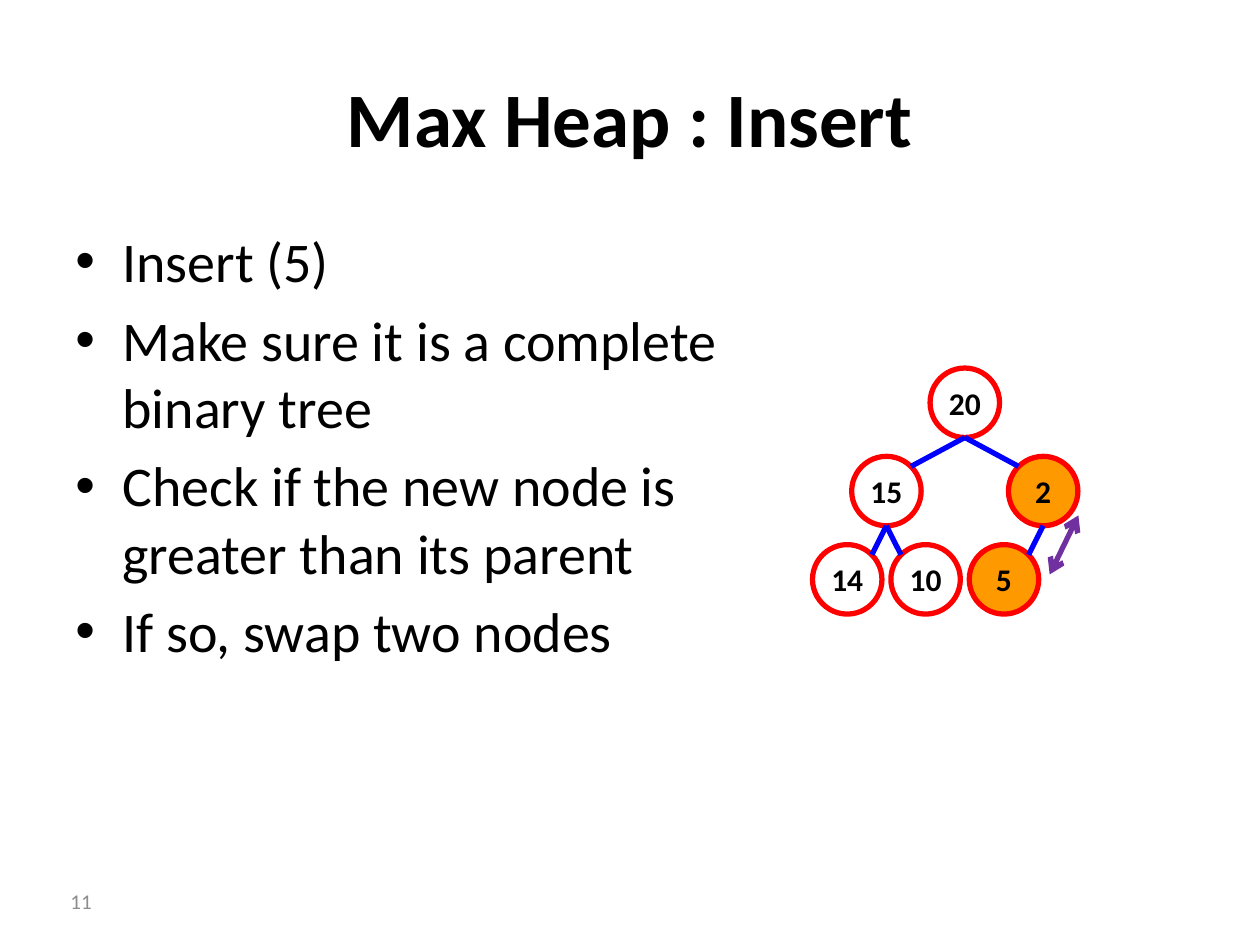
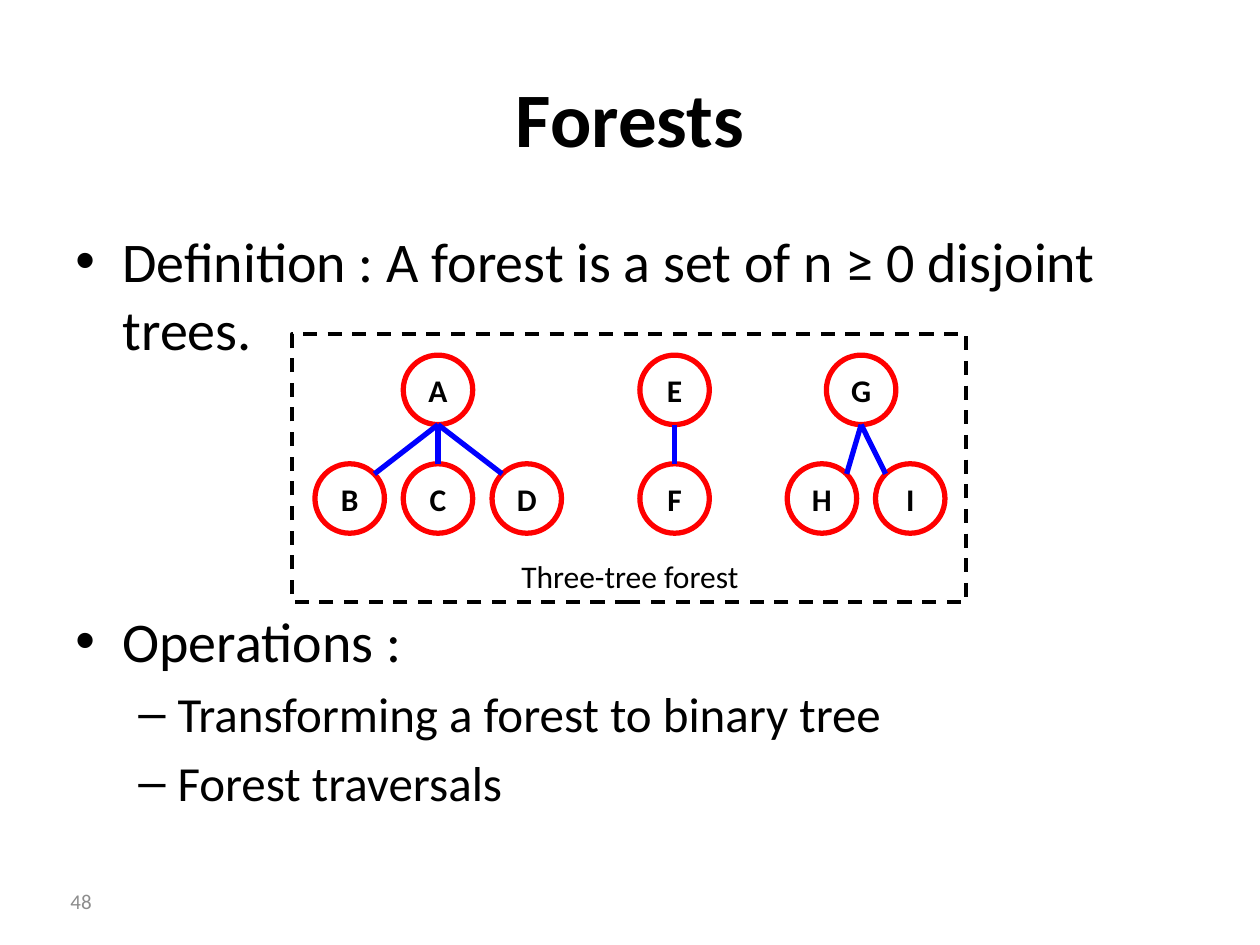
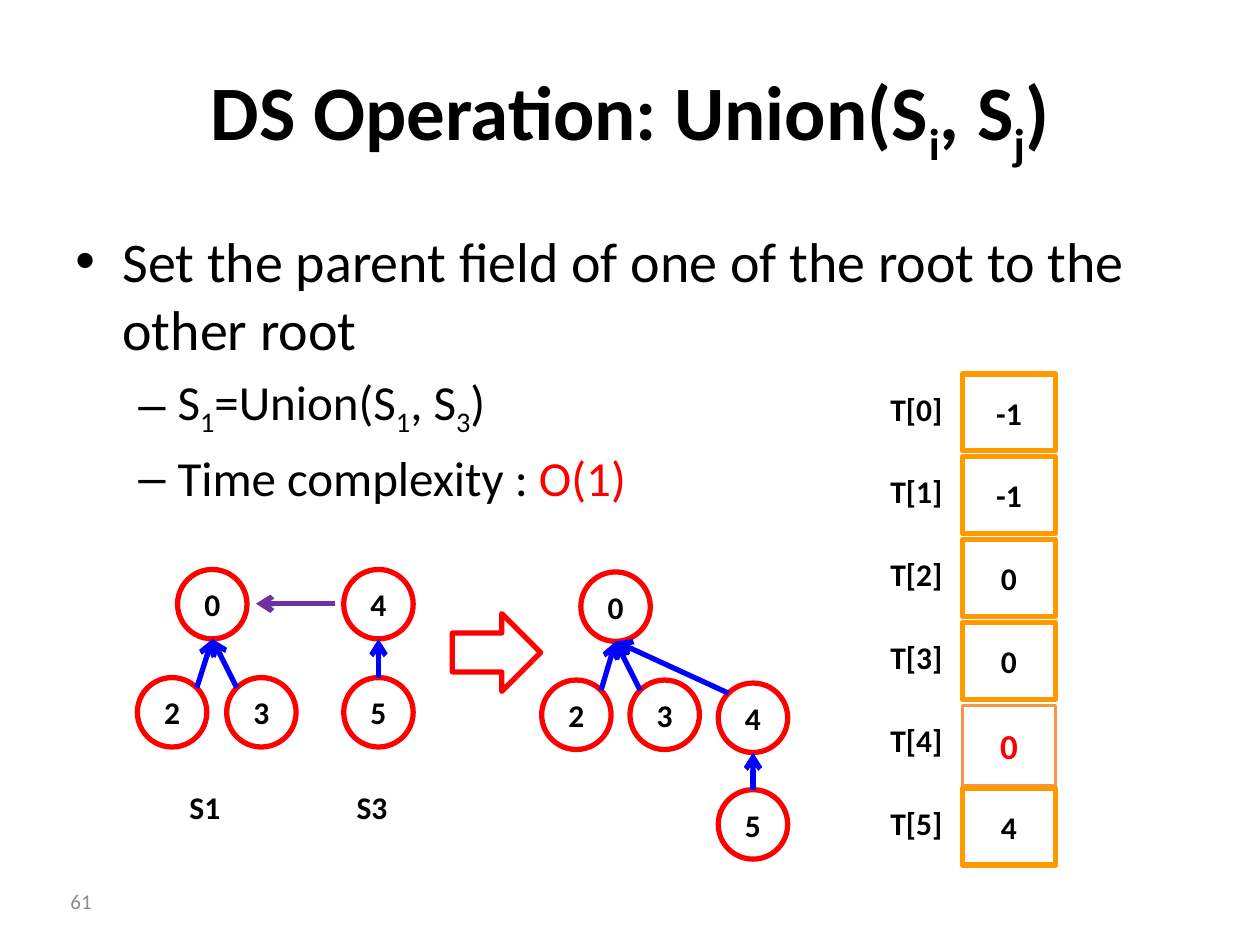
"""Builds three lecture slides on heaps, forests and disjoint sets."""
from dataclasses import dataclass

from lxml.etree import SubElement
from pptx import Presentation
from pptx.dml.color import RGBColor
from pptx.enum.dml import MSO_LINE
from pptx.enum.shapes import MSO_CONNECTOR, MSO_SHAPE
from pptx.enum.text import MSO_ANCHOR, PP_ALIGN
from pptx.oxml.ns import qn
from pptx.util import Cm, Pt


@dataclass(frozen=True)
class Theme:
    font: str = "Calibri"
    ink: str = "000000"
    paper: str = "FFFFFF"
    grey: str = "8C8C8C"
    red: str = "FF0000"
    blue: str = "0000FF"
    orange: str = "FF9900"
    amber: str = "F79646"
    purple: str = "7030A0"
    title: int = 44
    body: tuple = (32, 28)
    label: int = 18
    accent: int = 20
    foot: int = 12
    thick: int = 3
    thin: int = 2
    node: float = 1.4


class Deck:
    def __init__(self, theme):
        self.theme = theme
        self.file = Presentation()
        self.file.slide_width, self.file.slide_height = Cm(25.4), Cm(19.05)

    def page(self, title, number):
        self.slide = self.file.slides.add_slide(self.file.slide_layouts[6])
        look = self.theme
        self.text((1.27, 0.76, 22.86, 3.18), title, look.title, bold=True)
        self.text((0, 17.67, 2.1, 1.01), number, look.foot, look.grey,
                  align=PP_ALIGN.RIGHT)

    def words(self, para, runs, size, color=None, bold=False):
        font = para.font
        font.name, font.size, font.bold = self.theme.font, Pt(size), bold
        font.color.rgb = RGBColor.from_string(color or self.theme.ink)
        for part in [runs] if isinstance(runs, str) else runs:
            text, mark = (part, None) if isinstance(part, str) else part
            run = para.add_run()
            run.text = text
            if mark == "sub":
                run._r.get_or_add_rPr().set("baseline", "-25000")
            elif mark:
                run.font.color.rgb = RGBColor.from_string(mark)

    def frame(self, box):
        frame = self.slide.shapes.add_textbox(*map(Cm, box)).text_frame
        frame.word_wrap = True
        return frame

    def text(self, box, runs, size, color=None, bold=False,
             align=PP_ALIGN.CENTER):
        frame = self.frame(box)
        frame.vertical_anchor = MSO_ANCHOR.MIDDLE
        frame.paragraphs[0].alignment = align
        self.words(frame.paragraphs[0], runs, size, color, bold)

    def body(self, items, width=22.86):
        frame = self.frame((1.27, 4.45, width, 12.57))
        for index, (level, runs, *gap) in enumerate(items):
            para = frame.add_paragraph() if index else frame.paragraphs[0]
            size = self.theme.body[level]
            para.level = level
            para.space_before = Pt(gap[0] if gap else size * 0.2)
            self.words(para, runs, size)
            props = para._p.get_or_add_pPr()
            left, hang = ((0.95, 0.95), (2.06, 0.79))[level]
            props.set("marL", str(Cm(left)))
            props.set("indent", str(-Cm(hang)))
            base = props.find(qn("a:defRPr"))
            for tag, key, value in (("a:buFont", "typeface", "Arial"),
                                    ("a:buChar", "char", "•–"[level])):
                base.addprevious(props.makeelement(qn(tag), {key: value}))

    def shape(self, kind, box, line, width=None, fill=None, label="",
              size=None, color=None):
        look = self.theme
        item = self.slide.shapes.add_shape(kind, *map(Cm, box))
        item.shadow.inherit = False
        item.line.color.rgb = RGBColor.from_string(line)
        item.line.width = Pt(width or look.thick)
        if fill:
            item.fill.solid()
            item.fill.fore_color.rgb = RGBColor.from_string(fill)
        else:
            item.fill.background()
        if label:
            frame = item.text_frame
            frame.word_wrap = False
            frame.margin_left = frame.margin_right = 0
            frame.margin_top = frame.margin_bottom = 0
            frame.vertical_anchor = MSO_ANCHOR.MIDDLE
            frame.paragraphs[0].alignment = PP_ALIGN.CENTER
            self.words(frame.paragraphs[0], label, size or look.label,
                       color, True)
        return item

    def line(self, start, end, color, ends=()):
        item = self.slide.shapes.add_connector(
            MSO_CONNECTOR.STRAIGHT, *map(Cm, (*start, *end)))
        item.line.color.rgb = RGBColor.from_string(color)
        item.line.width = Pt(self.theme.thick)
        for tip in ends:
            SubElement(item.line._get_or_add_ln(), qn(f"a:{tip}"), type="arrow")
        SubElement(item._element.spPr, qn("a:effectLst"))

    def tree(self, nodes, links, ends=(), hot=()):
        look = self.theme
        half = look.node / 2
        for name, (x, y) in nodes.items():
            self.shape(MSO_SHAPE.OVAL, (x - half, y - half, look.node, look.node),
                       look.red, label=name,
                       fill=look.orange if name in hot else None)
        for child, parent in links:
            (x, y), (px, py) = nodes[child], nodes[parent]
            side = (px > x) - (px < x)
            reach = half * 0.71
            start = (x + side * reach, y - (reach if side else half))
            self.line(start, (px, py + half), look.blue, ends)


def heap(deck):
    deck.page("Max Heap : Insert", "11")
    deck.body([(0, "Insert (5)"),
               (0, "Make sure it is a complete binary tree"),
               (0, "Check if the new node is greater than its parent"),
               (0, "If so, swap two nodes")], 13.64)
    grid = {"20": (3, 0), "15": (1, 1), "2": (5, 1),
            "14": (0, 2), "10": (2, 2), "5": (4, 2)}
    nodes = {name: (17.08 + 0.79 * col, 8.12 + 1.78 * row)
             for name, (col, row) in grid.items()}
    deck.tree(nodes, [("15", "20"), ("2", "20"), ("14", "15"),
                      ("10", "15"), ("5", "2")], hot=("2", "5"))
    deck.line((21.16, 11.58), (21.74, 10.39), deck.theme.purple,
              ("headEnd", "tailEnd"))


def forest(deck):
    look = deck.theme
    deck.page("Forests", "48")
    deck.body([(0, "Definition : A forest is a set of n ≥ 0 disjoint trees."),
               (0, "Operations :", 140),
               (1, "Transforming a forest to binary tree"),
               (1, "Forest traversals")])
    top, low = 7.86, 10.05
    nodes = {"A": (8.83, top), "E": (13.6, top), "G": (17.36, top),
             "B": (7.05, low), "C": (8.83, low), "D": (10.62, low),
             "F": (13.6, low), "H": (16.57, low), "I": (18.35, low)}
    deck.tree(nodes, ["BA", "CA", "DA", "FE", "HG", "IG"])
    edge = deck.shape(MSO_SHAPE.RECTANGLE, (5.89, 6.73, 13.59, 5.41),
                      look.ink, look.thin)
    edge.line.dash_style = MSO_LINE.DASH
    deck.text((9.7, 11.1, 6, 1.02), "Three-tree forest", look.label)


def union(deck):
    look = deck.theme
    sub = "sub"
    deck.page(["DS Operation: Union(S", ("i", sub), ", S", ("j", sub), ")"], "61")
    deck.body([(0, "Set the parent field of one of the root to the other root"),
               (1, ["S", ("1", sub), "=Union(S", ("1", sub), ", S",
                    ("3", sub), ")"]),
               (1, ["Time complexity : ", ("O(1)", look.red)])])
    tail = ("tailEnd",)
    top, low = 12.18, 14.36
    deck.tree({"0": (4.28, top), "2": (3.47, low), "3": (5.27, low),
               "4": (7.63, top), "5": (7.63, low)}, ["20", "30", "54"], tail)
    deck.tree({"0": (12.41, 12.23), "2": (11.62, 14.41), "3": (13.4, 14.41),
               "4": (15.18, 14.47), "5": (15.18, 16.62)},
              ["20", "30", "54", "40"], tail)
    for name, left in (("S1", 3.33), ("S3", 6.7)):
        deck.text((left, 15.47, 1.6, 1.6), name, look.label, bold=True)
    deck.line((6.76, 12.17), (5.16, 12.17), look.purple, tail)
    deck.shape(MSO_SHAPE.RIGHT_ARROW, (9.12, 12.37, 1.78, 1.57), look.red)
    for row, value in enumerate(("-1", "-1", "0", "0", "0", "4")):
        y = 7.54 + 1.67 * row
        deck.text((17.42, y - 0.08, 2.11, 1.55), f"T[{row}]", look.label,
                  bold=True)
        if row == 4:
            deck.shape(MSO_SHAPE.RECTANGLE, (19.4, y, 1.88, 1.63), look.amber,
                       look.thin, look.paper, value, look.accent, look.red)
        else:
            deck.shape(MSO_SHAPE.RECTANGLE, (19.4, y, 1.88, 1.55),
                       look.orange, label=value)


def main():
    deck = Deck(Theme())
    for draw in (heap, forest, union):
        draw(deck)
    deck.file.save("out.pptx")


if __name__ == "__main__":
    main()
